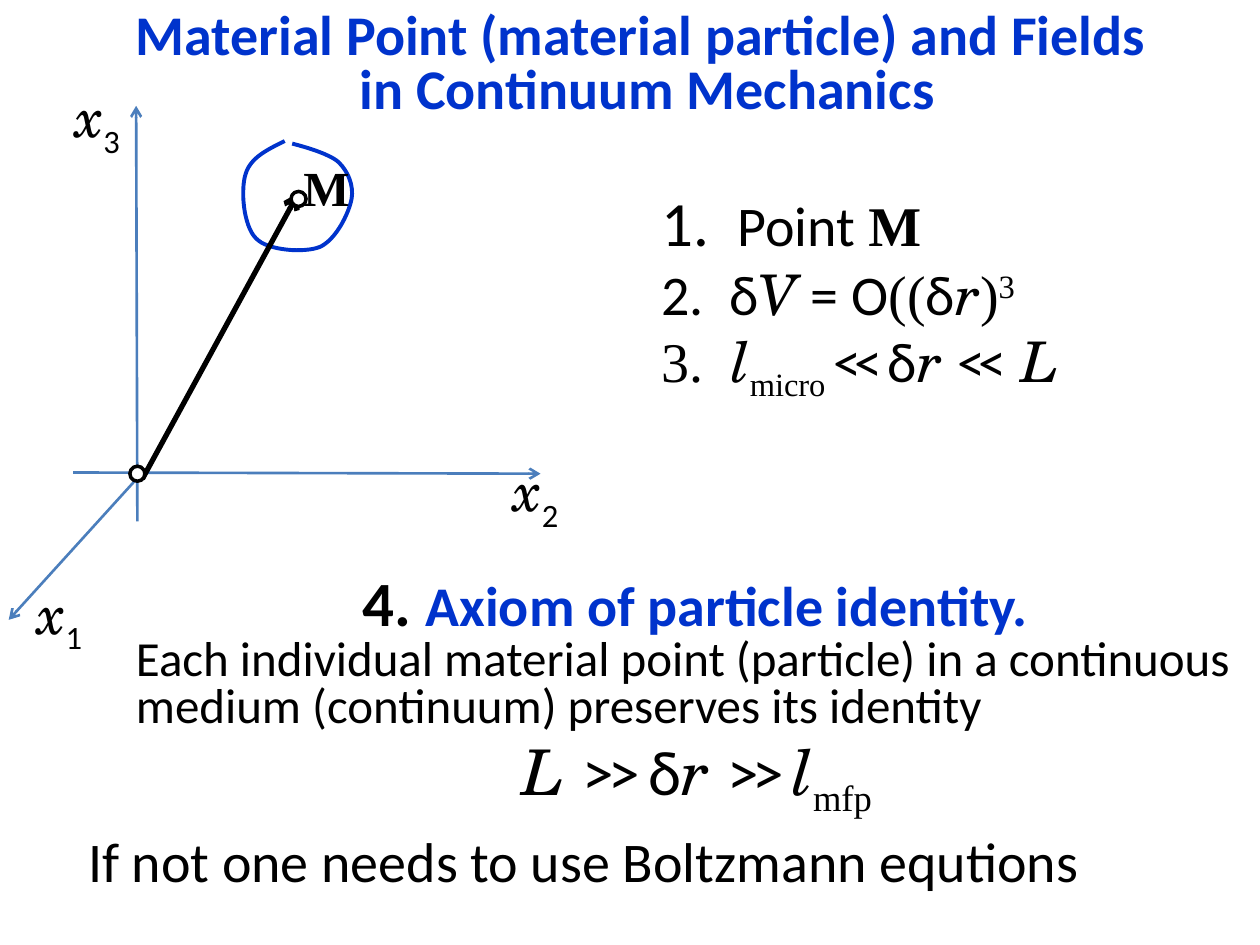
from dataclasses import dataclass

from lxml import etree
from pptx import Presentation
from pptx.dml.color import RGBColor
from pptx.enum.shapes import MSO_CONNECTOR, MSO_SHAPE
from pptx.enum.text import MSO_AUTO_SIZE, PP_ALIGN
from pptx.oxml.ns import qn
from pptx.util import Pt

LEFT, CENTER = PP_ALIGN.LEFT, PP_ALIGN.CENTER
STRAIGHT, OVAL = MSO_CONNECTOR.STRAIGHT, MSO_SHAPE.OVAL
FIT_SHAPE = MSO_AUTO_SIZE.SHAPE_TO_FIT_TEXT


@dataclass(frozen=True)
class Theme:
    ink: RGBColor = RGBColor(0x00, 0x00, 0x00)
    paper: RGBColor = RGBColor(0xFF, 0xFF, 0xFF)
    accent: RGBColor = RGBColor(0x00, 0x33, 0xCC)
    axis: RGBColor = RGBColor(0x4B, 0x7E, 0xBC)
    sans: str = "Calibri"
    serif: str = "Times New Roman"
    math: str = "TeX Gyre Schola"
    large: int = 36
    normal: int = 32
    small: int = 28


theme = Theme()


def add_text(page, left, top, width, height, paragraphs, size=theme.normal,
             color=theme.ink, bold=False, align=LEFT, spacing=None):
    """Each paragraph is a list of (text, format) spans, or a tuple of such a
    list and a dictionary that overrides align and spacing."""
    box = page.shapes.add_textbox(Pt(left), Pt(top), Pt(width), Pt(height))
    frame = box.text_frame
    frame.word_wrap = True
    frame.auto_size = FIT_SHAPE
    for index, entry in enumerate(paragraphs):
        spans, layout = entry if isinstance(entry, tuple) else (entry, {})
        para = frame.add_paragraph() if index else frame.paragraphs[0]
        para.alignment = layout.get("align", align)
        para.line_spacing = layout.get("spacing", spacing)
        for text, style in spans:
            span = para.add_run()
            span.text = text
            font = span.font
            font.name = style.get("font", theme.sans)
            font.size = Pt(style.get("size", size))
            font.bold = style.get("bold", bold)
            font.italic = style.get("italic", False)
            font.color.rgb = style.get("color", color)
            for key in ("baseline", "spc"):
                if key in style:
                    font._element.set(key, str(style[key]))


def add_arrow(page, start, end, color, width):
    arrow = page.shapes.add_connector(STRAIGHT, *map(Pt, start + end))
    arrow.line.color.rgb = color
    arrow.line.width = Pt(width)
    etree.SubElement(arrow.line._get_or_add_ln(), qn("a:tailEnd"), type="arrow")
    etree.SubElement(arrow._element.spPr, qn("a:effectLst"))


deck = Presentation()
deck.slide_width, deck.slide_height = Pt(720), Pt(540)
page = deck.slides.add_slide(deck.slide_layouts[6])

# Span formats
plain = {}
serif = {"font": theme.serif}
variable = {"font": theme.math, "italic": True}
subscript = {"font": theme.serif, "baseline": -25000}
tight = {"spc": -410}

# Title
add_text(page, 20, 3.6, 700, 70,
         [[("Material Point (material particle) and Fields ", plain)],
          [("in Continuum Mechanics", plain)]],
         color=theme.accent, bold=True, align=CENTER, spacing=0.8)

# Numbered conditions
add_text(page, 370.8, 101.5, 292.3, 128.2, [
    [("1.  ", {"size": theme.large}), ("Point ", plain),
     ("M", {"font": theme.serif, "bold": True})],
    [("2.  δ", plain), ("V", variable), (" = O", plain), ("((", serif),
     ("δ", plain), ("r", variable), (")", serif),
     ("3", {"font": theme.serif, "baseline": 30000})],
    [("3.  ", serif), ("l", variable), ("micro ", subscript), ("<< ", tight),
     ("δ", plain), ("r ", variable), ("<<", tight), (" L", variable)],
])

# Neighbourhood of the point: cubic curves, each with two controls and an end
STEPS = 16
start = (162.7, 80.6)
curves = [
    ((152.6, 85.7), (143.3, 90), (140.4, 99.4)),
    ((137.5, 108), (139, 128.9), (146.2, 136.1)),
    ((152.6, 143.3), (174.2, 144.7), (182.9, 141.1)),
    ((192.2, 136.8), (199.4, 121.7), (200.9, 113.8)),
    ((202.3, 105.8), (198.7, 97.9), (193.7, 92.9)),
    ((187.9, 87.1), (167, 82.1), (167, 82.1)),
]
outline = []
current = start
for first, second, end in curves:
    for step in range(1, STEPS + 1):
        t = step / STEPS
        u = 1 - t
        outline.append(tuple(
            Pt(u**3 * a + 3 * u**2 * t * b + 3 * u * t**2 * c + t**3 * d)
            for a, b, c, d in zip(current, first, second, end)))
    current = end
builder = page.shapes.build_freeform(Pt(start[0]), Pt(start[1]))
builder.add_line_segments(outline, close=False)
region = builder.convert_to_shape()
region.shadow.inherit = False
region.fill.background()
region.line.color.rgb = theme.accent
region.line.width = Pt(2.25)

# Axes and position vector
for tail, head in [((78.5, 298), (77.8, 60.5)),
                   ((41.8, 270), (308.9, 270.7)),
                   ((81.4, 270), (5, 354.2))]:
    add_arrow(page, tail, head, theme.axis, 1.5)
add_arrow(page, (81.4, 273.6), (170.6, 110.2), theme.ink, 3)

# Axis labels
for digit, left, top in [("1", 14.4, 326.9), ("3", 36, 43.2), ("2", 286.6, 257)]:
    add_text(page, left, top, 51.8, 46,
             [[("x", variable), (digit, {"baseline": -28000})]])

# Point M and origin
add_text(page, 166.3, 86.4, 59.8, 41,
         [[("M", {"font": theme.serif, "bold": True})]], size=theme.small)
for left, top in [(166.3, 109.4), (74.2, 266.4)]:
    dot = page.shapes.add_shape(OVAL, Pt(left), Pt(top), Pt(8.6), Pt(8.6))
    dot.shadow.inherit = False
    dot.fill.solid()
    dot.fill.fore_color.rgb = theme.paper
    dot.line.color.rgb = theme.ink
    dot.line.width = Pt(2)

# Axiom of identity
add_text(page, 70.6, 326.9, 661, 140.4, [
    ([("4. ", {"size": theme.large, "bold": True}),
      ("Axiom of particle identity. ",
       {"size": theme.normal, "color": theme.accent, "bold": True})],
     {"align": CENTER, "spacing": 0.8}),
    ([("Each individual material point (particle) in a continuous medium "
       "(continuum) preserves its identity", {"size": theme.small})],
     {"spacing": 0.8}),
    ([("L ", variable), (">> ", {"spc": -310}), ("δ", plain), ("r ", variable),
      (">> ", {"spc": -340}), ("l", variable), ("mfp ", subscript)],
     {"align": CENTER}),
], size=theme.large)

# Closing remark
add_text(page, 43.2, 468.7, 668.2, 46,
         [[("If not one needs to use Boltzmann equtions", plain)]])

deck.save("out.pptx")
